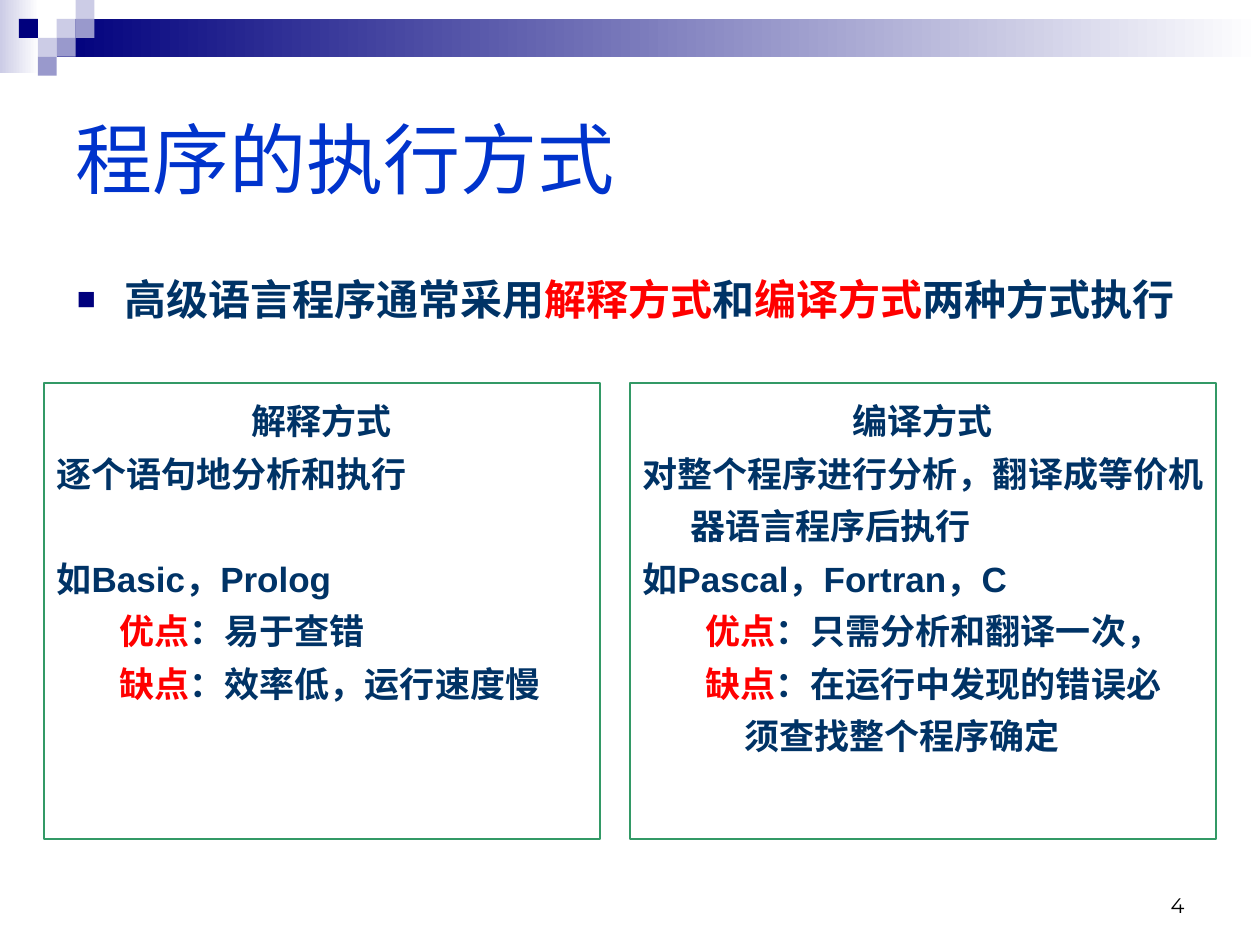
from dataclasses import dataclass

from lxml.etree import SubElement as Sub
from pptx import Presentation as Deck
from pptx.dml.color import RGBColor as RGB
from pptx.enum.shapes import MSO_SHAPE as Shape
from pptx.enum.text import MSO_ANCHOR as Anchor, MSO_AUTO_SIZE as Fit, PP_ALIGN as Align
from pptx.oxml.ns import qn
from pptx.util import Emu, Inches, Pt

NAVY = RGB(0x00, 0x00, 0x7D)
LILAC = RGB(0xCC, 0xCC, 0xE6)
MAUVE = RGB(0x99, 0x99, 0xCC)
WHITE = RGB(0xFF, 0xFF, 0xFF)
BLACK = RGB(0x00, 0x00, 0x00)
BLUE = RGB(0x00, 0x33, 0xCC)
INK = RGB(0x00, 0x33, 0x66)
RED = RGB(0xFF, 0x00, 0x00)
GREEN = RGB(0x33, 0x99, 0x66)

WIDE, HIGH = Inches(10), Inches(7.5)
COLS, ROWS = 100, 75
TILE = 1.5


@dataclass
class Area:
    col: float
    row: float
    cols: float
    rows: float

    def emu(self) -> list[Emu]:
        x, y = WIDE / COLS, HIGH / ROWS
        return [Emu(round(n)) for n in (self.col * x, self.row * y, self.cols * x, self.rows * y)]


@dataclass
class Line:
    text: str
    left: float = 0.38
    first: float = -0.38
    gap: float = 0
    align: Align = Align.LEFT


@dataclass
class Panel:
    area: Area
    lines: list[Line]


def head(text: str) -> Line:
    return Line(text, align=Align.CENTER)


def point(text: str, first: float = -0.31) -> Line:
    return Line(text, 0.81, first)


TILES = [(3, 1, LILAC), (4, 0, LILAC), (4, 1, MAUVE), (2, 2, LILAC),
         (1, 1, NAVY), (3, 2, MAUVE), (2, 3, MAUVE)]
FADES = [(Area(0, 0, 3.1, 5.8), LILAC), (Area(4.5, 1.5, 95.5, 3), NAVY)]
PANELS = [
    Panel(Area(3.5, 30.4, 44.1, 36.2), [
        head("解释方式"),
        Line("逐个语句地分析和执行"),
        Line("如Basic，Prolog", gap=30),
        point("|优点|：易于查错"),
        point("|缺点|：效率低，运行速度慢"),
    ]),
    Panel(Area(50, 30.4, 46.5, 36.2), [
        head("编译方式"),
        Line("对整个程序进行分析，翻译成等价机器语言程序后执行"),
        Line("如Pascal，Fortran，C"),
        point("|优点|：只需分析和翻译一次，"),
        point("|缺点|：在运行中发现的错误必"),
        point("须查找整个程序确定", first=0),
    ]),
]


def write(para, text: str, *, size: float, color: RGB = INK, font: str = "Arial",
          bold: bool = False, align: Align = Align.LEFT, space: float = 1,
          gap: float = 0, left: float = 0, first: float = 0) -> None:
    """Fill a paragraph, with the parts between bars in red."""
    para.alignment, para.line_spacing, para.space_before = align, space, Pt(gap)
    props = para._p.get_or_add_pPr()
    props.set("marL", str(Inches(left)))
    props.set("indent", str(Inches(first)))
    for i, part in enumerate(text.split("|")):
        if part:
            run = para.add_run()
            run.text = part
            run.font.size, run.font.name, run.font.bold = Pt(size), font, bold
            run.font.color.rgb = RED if i % 2 else color


def mark(para) -> None:
    """Give a paragraph a small square bullet."""
    props = para._p.get_or_add_pPr()
    Sub(Sub(props, qn("a:buClr")), qn("a:srgbClr"), val=str(NAVY))
    Sub(props, qn("a:buSzPct"), val="75000")
    Sub(props, qn("a:buFont"), typeface="Arial")
    Sub(props, qn("a:buChar"), char="■")


def block(slide, area: Area):
    """Add a rectangle with neither shadow nor line."""
    rect = slide.shapes.add_shape(Shape.RECTANGLE, *area.emu())
    rect.shadow.inherit = False
    rect.line.fill.background()
    return rect


def fade(slide, area: Area, color: RGB) -> None:
    """Add a band that fades to white on the right."""
    fill = block(slide, area).fill
    fill.gradient()
    fill.gradient_angle = 0
    for stop, tint in zip(fill.gradient_stops, (color, WHITE)):
        stop.color.rgb = tint


def tile(slide, col: int, row: int, color: RGB) -> None:
    """Add one square of the corner pattern."""
    fill = block(slide, Area(col * TILE, row * TILE, TILE, TILE)).fill
    fill.solid()
    fill.fore_color.rgb = color


def place(holder, area: Area, anchor: Anchor):
    """Move a text shape and return its first paragraph."""
    holder.left, holder.top, holder.width, holder.height = area.emu()
    frame = holder.text_frame
    frame.auto_size, frame.word_wrap, frame.vertical_anchor = Fit.NONE, True, anchor
    return frame.paragraphs[0]


def panel(slide, item: Panel) -> None:
    """Add an outlined box with its lines of text."""
    rect = block(slide, item.area)
    rect.fill.background()
    rect.line.color.rgb, rect.line.width = GREEN, Pt(1)
    para = place(rect, item.area, Anchor.TOP)
    for i, line in enumerate(item.lines):
        para = rect.text_frame.add_paragraph() if i else para
        write(para, line.text, size=20, bold=True, space=1.25, align=line.align,
              gap=line.gap, left=line.left, first=line.first)


def main() -> None:
    """Build the slide and save it."""
    deck = Deck()
    deck.slide_width, deck.slide_height = WIDE, HIGH
    slide = deck.slides.add_slide(deck.slide_layouts[1])
    title, body = slide.placeholders
    for area, color in FADES:
        fade(slide, area, color)
    for spot in TILES:
        tile(slide, *spot)
    write(place(title, Area(5, 5, 90, 15), Anchor.MIDDLE), "程序的执行方式", size=44, color=BLUE)
    para = place(body, Area(5.1, 20.2, 90, 8.7), Anchor.TOP)
    write(para, "高级语言程序通常采用|解释方式|和|编译方式|两种方式执行",
          size=24, bold=True, space=1.25, left=0.38, first=-0.38)
    mark(para)
    for item in PANELS:
        panel(slide, item)
    area = Area(71.7, 68.3, 23.3, 5)
    page = slide.shapes.add_textbox(*area.emu())
    write(place(page, area, Anchor.BOTTOM), "4", size=12, color=BLACK,
          font="Montserrat", align=Align.RIGHT)
    deck.save("out.pptx")


if __name__ == "__main__":
    main()
